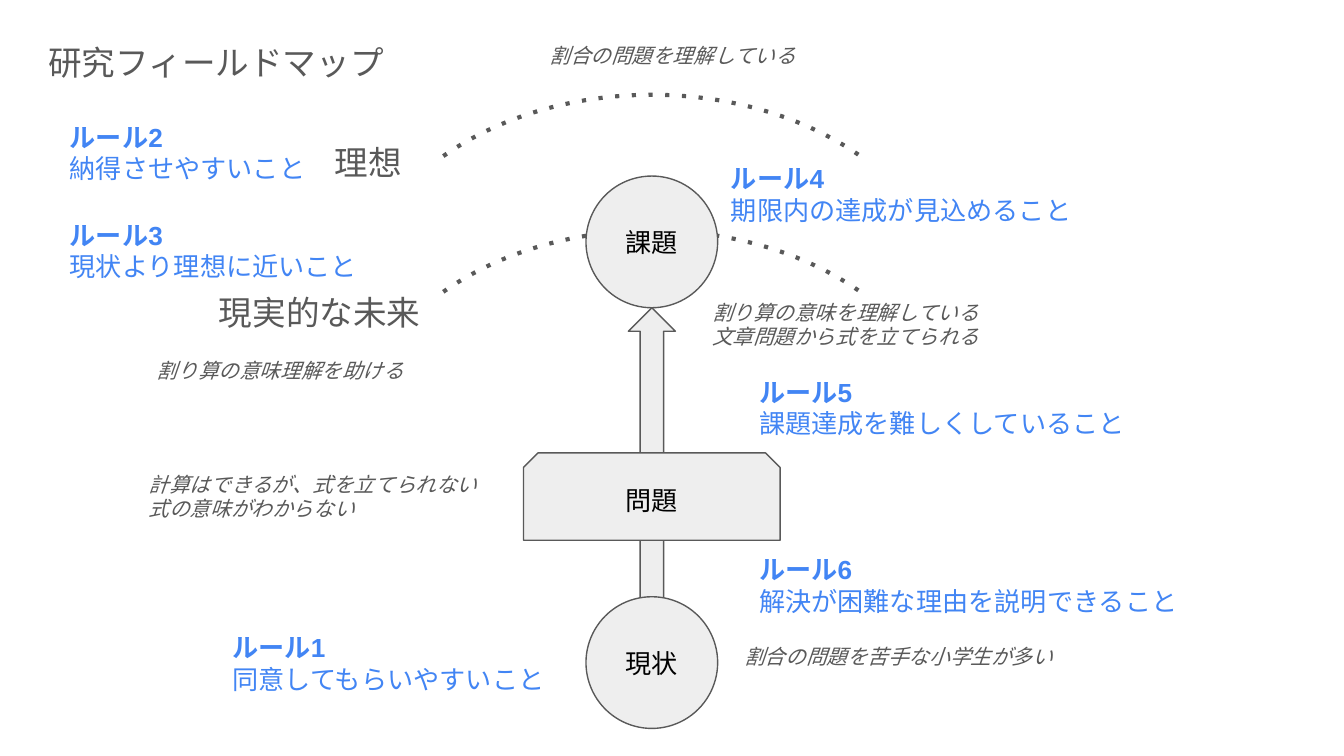
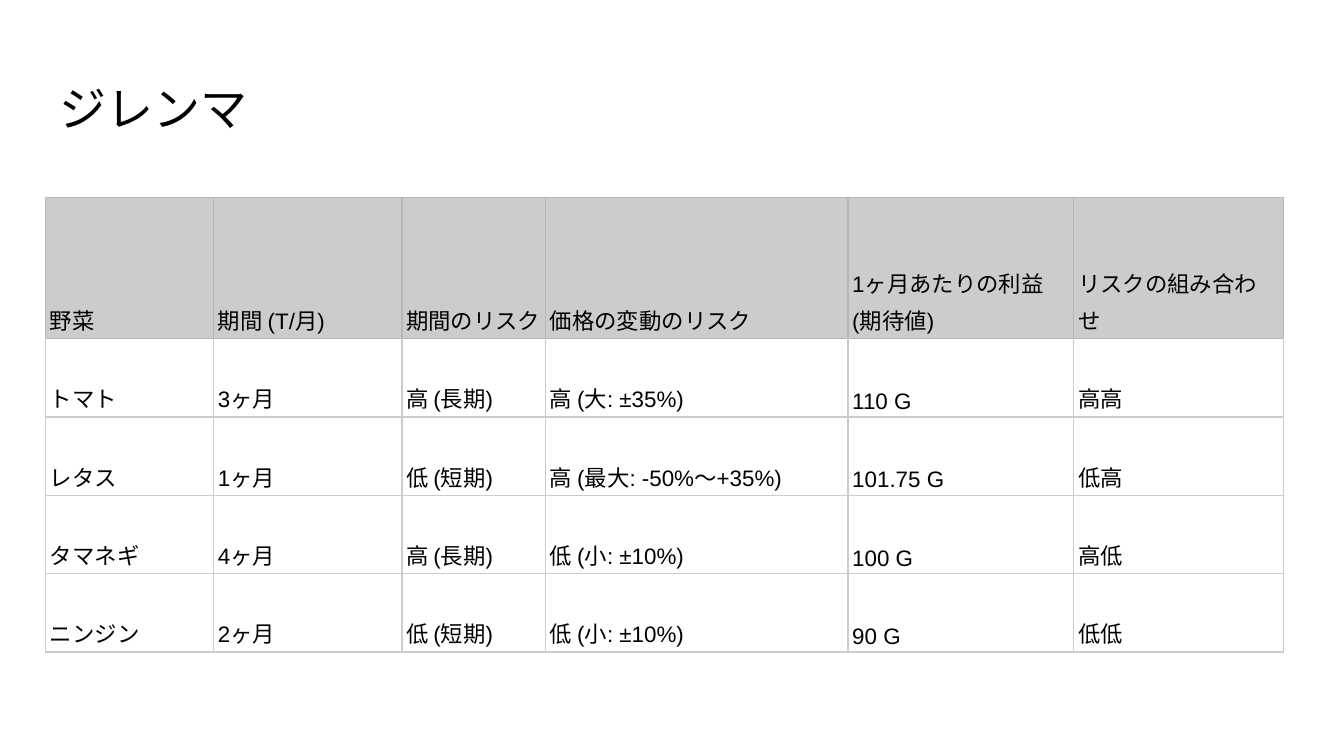
from dataclasses import dataclass

from lxml.etree import SubElement
from pptx import Presentation
from pptx.dml.color import RGBColor
from pptx.enum.dml import MSO_LINE
from pptx.enum.shapes import MSO_SHAPE
from pptx.enum.text import MSO_ANCHOR, MSO_AUTO_SIZE, PP_ALIGN
from pptx.oxml.ns import qn
from pptx.util import Inches, Pt

FONT = "Arial"
TITLE_ONLY = 5
COLORS = {
    "black": "000000",
    "grey": "595959",
    "blue": "4285F4",
    "shape": "EEEEEE",
    "header": "CCCCCC",
    "header_border": "B7B7B7",
    "border": "CCCCCC",
}

# left, top, width, lines
RULES = [
    (0.42, 0.8, 2.02, "ルール2", "納得させやすいこと"),
    (0.42, 1.53, 2.38, "ルール3", "現状より理想に近いこと"),
    (1.63, 4.6, 2.62, "ルール1", "同意してもらいやすいこと"),
    (5.55, 4.02, 3.5, "ルール6", "解決が困難な理由を説明できること"),
    (5.55, 2.7, 3.5, "ルール5", "課題達成を難しくしていること"),
    (5.34, 1.11, 3.5, "ルール4", "期限内の達成が見込めること"),
]
EXAMPLES = [
    (1.07, 2.57, 2.76, "割り算の意味理解を助ける"),
    (1.01, 3.41, 2.76, "計算はできるが、式を立てられない", "式の意味がわからない"),
    (5.44, 4.7, 2.76, "割合の問題を苦手な小学生が多い"),
    (5.2, 2.13, 2.76, "割り算の意味を理解している", "文章問題から式を立てられる"),
    (3.99, 0.23, 2.47, "割合の問題を理解している"),
]
LEVELS = [
    (1.53, 2.07, 1.72, "現実的な未来"),
    (2.39, 0.96, 0.86, "理想"),
]

VEGETABLES = [
    ["野菜", "期間 (T/月)", "期間のリスク", "価格の変動のリスク",
     "1ヶ月あたりの利益 (期待値)", "リスクの組み合わせ"],
    ["トマト", "3ヶ月", "高 (長期)", "高 (大: ±35%)", "110 G", "高高"],
    ["レタス", "1ヶ月", "低 (短期)", "高 (最大: -50%〜+35%)", "101.75 G", "低高"],
    ["タマネギ", "4ヶ月", "高 (長期)", "低 (小: ±10%)", "100 G", "高低"],
    ["ニンジン", "2ヶ月", "低 (短期)", "低 (小: ±10%)", "90 G", "低低"],
]
COLUMN_WIDTHS = [1.25, 1.4, 1.07, 2.25, 1.68, 1.56]
HEADER_HEIGHT, ROW_HEIGHT = 1.05, 7 / 12


@dataclass
class Box:
    left: float
    top: float
    width: float
    height: float

    def inside(self, left, top, width, height):
        """Return a box whose left and top are offsets within this one."""
        return Box(self.left + left, self.top + top, width, height)

    def lengths(self):
        return [Inches(n) for n in (self.left, self.top, self.width, self.height)]


def color(name):
    return RGBColor.from_string(COLORS[name])


def write(frame, lines, size, color_name, italic=False, align=PP_ALIGN.LEFT):
    frame.text = "\n".join(lines)
    frame.word_wrap = True
    frame.margin_left = frame.margin_right = Inches(0.1)
    frame.margin_top = frame.margin_bottom = Inches(0.1)
    for para in frame.paragraphs:
        para.alignment = align
        for span in para.runs:
            span.font.name = FONT
            span.font.size = Pt(size)
            span.font.italic = italic
            span.font.color.rgb = color(color_name)


def add_page(deck, title, box, size, color_name):
    page = deck.slides.add_slide(deck.slide_layouts[TITLE_ONLY])
    heading = page.shapes.title
    heading.left, heading.top, heading.width, heading.height = box.lengths()
    write(heading.text_frame, [title], size, color_name)
    heading.text_frame.vertical_anchor = MSO_ANCHOR.TOP
    heading.text_frame.auto_size = MSO_AUTO_SIZE.NONE
    return page


def add_label(page, box, lines, size, color_name, italic=False):
    label = page.shapes.add_textbox(*box.lengths())
    write(label.text_frame, lines, size, color_name, italic)
    label.text_frame.auto_size = MSO_AUTO_SIZE.SHAPE_TO_FIT_TEXT
    return label


def add_figure(page, kind, box, text=None, adjustments=()):
    figure = page.shapes.add_shape(kind, *box.lengths())
    figure.shadow.inherit = False
    figure.fill.solid()
    figure.fill.fore_color.rgb = color("shape")
    figure.line.color.rgb = color("grey")
    figure.line.width = Pt(0.75)
    for index, value in enumerate(adjustments):
        figure.adjustments[index] = value
    if text:
        write(figure.text_frame, [text], 14, "black", align=PP_ALIGN.CENTER)
        figure.text_frame.vertical_anchor = MSO_ANCHOR.MIDDLE
    return figure


def add_horizon(page, box):
    """Draw a dotted arc that bulges upwards."""
    arc = add_figure(page, MSO_SHAPE.ARC, box, adjustments=(183.98, 32.45))
    arc.rotation = 270
    arc.fill.background()
    arc.line.width = Pt(2.25)
    arc.line.dash_style = MSO_LINE.ROUND_DOT
    for dash in arc.element.iter(qn("a:prstDash")):
        dash.set("val", "dot")


def add_path_diagram(page, box):
    """Draw the way from the present state, past the problem, to the goal."""
    circle, arrow_width, arrow_height = 0.98, 0.35, 2.28
    block_width, block_height = 1.91, 0.65

    def centred(top, width, height):
        return box.inside((box.width - width) / 2, top, width, height)

    add_horizon(page, centred(1.1, box.width, 4.45))
    goal_top = 1.31
    arrow_top = goal_top + circle
    add_figure(page, MSO_SHAPE.UP_ARROW, centred(arrow_top, arrow_width, arrow_height))
    add_figure(page, MSO_SHAPE.OVAL, centred(4.44, circle, circle), "現状")
    add_figure(page, MSO_SHAPE.SNIP_2_SAME_RECTANGLE,
               centred(3.37, block_width, block_height), "問題", (0.167, 0))
    add_figure(page, MSO_SHAPE.OVAL, centred(goal_top, circle, circle), "課題")
    add_horizon(page, centred(0.09, box.width, 4.45))


def add_map_labels(page, box):
    for left, top, width, name in LEVELS:
        add_label(page, box.inside(left, top, width, 0.5), [name], 18, "grey")
    for left, top, width, *lines in RULES:
        rule = add_label(page, box.inside(left, top, width, 0.67), lines, 14, "blue")
        rule.text_frame.paragraphs[0].runs[0].font.bold = True
    for left, top, width, *lines in EXAMPLES:
        height = 0.21 + 0.18 * len(lines)
        add_label(page, box.inside(left, top, width, height), lines, 11, "grey", True)


def set_borders(cell, **sides):
    """Give each named side (L, R, T, B) a thin line of the named colour."""
    properties = cell._tc.get_or_add_tcPr()
    for side, color_name in sides.items():
        line = SubElement(properties, qn(f"a:ln{side}"), w=str(Pt(0.83)))
        fill = SubElement(line, qn("a:solidFill"))
        SubElement(fill, qn("a:srgbClr"), val=COLORS[color_name])


def format_cell(cell, text, row):
    write(cell.text_frame, [text], 12, "black")
    cell.text_frame.paragraphs[0].line_spacing = 1.15
    cell.vertical_anchor = MSO_ANCHOR.BOTTOM
    cell.margin_left = cell.margin_right = Inches(1 / 32)
    cell.margin_top = cell.margin_bottom = Inches(1 / 48)
    edge = "border" if row else "header_border"
    top_edge = "border" if row > 1 else "header_border"
    set_borders(cell, L=edge, R=edge, T=top_edge, B=edge)
    if row:
        cell.fill.background()
    else:
        cell.fill.solid()
        cell.fill.fore_color.rgb = color("header")


def add_vegetable_table(page, box):
    frame = page.shapes.add_table(len(VEGETABLES), len(COLUMN_WIDTHS), *box.lengths())
    table = frame.table
    table.first_row = table.horz_banding = False
    for column, width in zip(table.columns, COLUMN_WIDTHS):
        column.width = Inches(width)
    for row, texts in enumerate(VEGETABLES):
        table.rows[row].height = Inches(ROW_HEIGHT if row else HEADER_HEIGHT)
        for column, text in enumerate(texts):
            format_cell(table.cell(row, column), text, row)


def add_field_map(deck, box):
    page = add_page(deck, "研究フィールドマップ", box.inside(0.26, 0.21, 3.5, 0.5), 18, "grey")
    add_path_diagram(page, box.inside(3.24, 0, 3.22, box.height))
    add_map_labels(page, box)


def add_dilemma(deck, box):
    page = add_page(deck, "ジレンマ", box.inside(0.34, 0.49, 9.32, 0.63), 25.2, "black")
    height = HEADER_HEIGHT + ROW_HEIGHT * (len(VEGETABLES) - 1)
    add_vegetable_table(page, box.inside(0.34, 1.47, sum(COLUMN_WIDTHS), height))


def main():
    deck = Presentation()
    whole = Box(0, 0, 10, 10 * 9 / 16)
    deck.slide_width, deck.slide_height = Inches(whole.width), Inches(whole.height)
    add_field_map(deck, whole)
    add_dilemma(deck, whole)
    deck.save("out.pptx")


if __name__ == "__main__":
    main()
